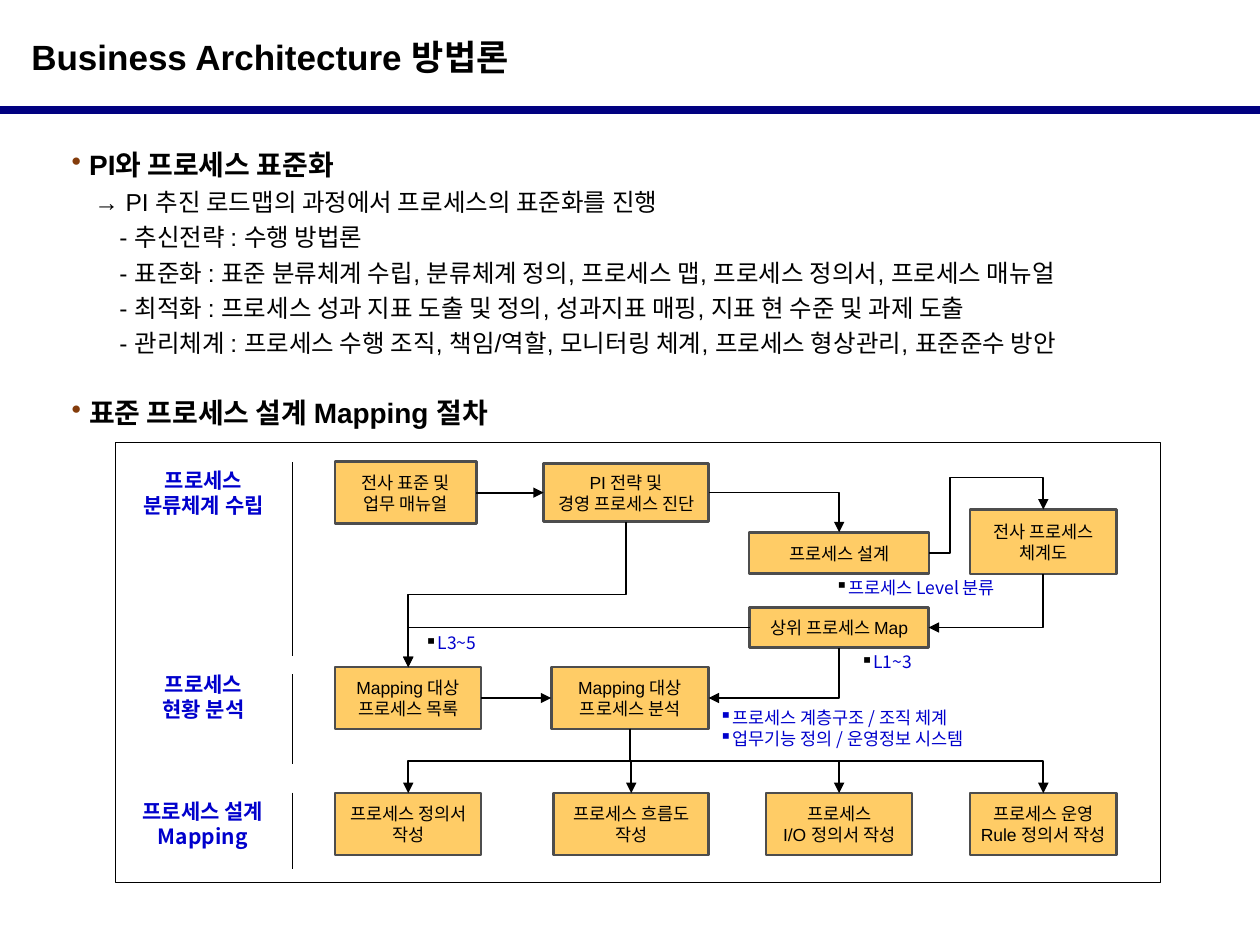
from dataclasses import dataclass
from lxml.etree import SubElement
from pptx import Presentation
from pptx.dml.color import RGBColor
from pptx.enum.shapes import MSO_CONNECTOR as Route, MSO_SHAPE as Preset
from pptx.enum.text import MSO_ANCHOR as Anchor, MSO_AUTO_SIZE as Fit, PP_ALIGN as Align
from pptx.oxml.ns import qn
from pptx.util import Inches, Pt

BLACK, NAVY, BLUE, BROWN = "000000", "000080", "0000CC", "843C0B"
ORANGE, GRAY = "FFCC66", "4D4D4D"
KOREAN = "Noto Sans CJK KR"

# Diagram grid: centres of columns and rows, in inches
COLUMNS = (3.24, 5.0, 6.66, 8.28)
ROWS = (3.91, 4.39, 4.98, 5.54, 6.54)


@dataclass
class Line:
    text: str
    size: float = 14
    bold: bool = False
    font: str = "Arial"
    color: str = BLACK
    align: Align = Align.LEFT
    spacing: float = 1.0
    indent: float = 0
    bullet: str = ""
    bullet_color: str = ""


@dataclass
class Step:
    text: str
    column: int
    row: int
    width: float = 1.16
    height: float = 0.49
    shift_x: float = 0
    shift_y: float = 0

    def side(self, name: str) -> tuple[float, float]:
        x, y = COLUMNS[self.column] + self.shift_x, ROWS[self.row] + self.shift_y
        across, down = {"left": (-1, 0), "right": (1, 0), "top": (0, -1), "bottom": (0, 1)}[name]
        return x + across * self.width / 2, y + down * self.height / 2


@dataclass
class Link:
    start: str
    leave: str
    end: str
    enter: str
    segments: int
    bends: tuple = ()


def color_of(value: str) -> RGBColor:
    return RGBColor.from_string(value)


def write(frame, lines: list[Line]) -> None:
    for index, line in enumerate(lines):
        para = frame.paragraphs[0] if index == 0 else frame.add_paragraph()
        para.alignment, para.line_spacing = line.align, line.spacing
        props = para._p.get_or_add_pPr()
        if line.indent:
            props.set("marL", str(Inches(line.indent)))
        if line.bullet:
            props.set("indent", str(-Inches(line.indent)))
            if line.bullet_color:
                tint = SubElement(props, qn("a:buClr"))
                SubElement(tint, qn("a:srgbClr")).set("val", line.bullet_color)
            SubElement(props, qn("a:buChar")).set("char", line.bullet)
        span = para.add_run()
        span.text = line.text
        formats = {"name": line.font, "size": Pt(line.size), "bold": line.bold}
        for name, value in formats.items():
            setattr(span.font, name, value)
        span.font.color.rgb = color_of(line.color)
        SubElement(span._r.get_or_add_rPr(), qn("a:ea")).set("typeface", KOREAN)


def add_text(page, area: tuple, lines: list[Line], inset: bool = False) -> None:
    frame = page.shapes.add_textbox(*map(Inches, area)).text_frame
    formats = {"word_wrap": True, "auto_size": Fit.SHAPE_TO_FIT_TEXT}
    if not inset:
        formats |= {f"margin_{side}": 0 for side in ("left", "top", "right", "bottom")}
    for name, value in formats.items():
        setattr(frame, name, value)
    write(frame, lines)


def add_box(page, area: tuple, line: str, weight: float, fill: str = ""):
    box = page.shapes.add_shape(Preset.RECTANGLE, *map(Inches, area))
    box.shadow.inherit = False
    if fill:
        box.fill.solid()
        box.fill.fore_color.rgb = color_of(fill)
    else:
        box.fill.background()
    box.line.color.rgb, box.line.width = color_of(line), Pt(weight)
    return box


def add_step(page, step: Step) -> None:
    left, top = step.side("left")[0], step.side("top")[1]
    box = add_box(page, (left, top, step.width, step.height), GRAY, 1.5, ORANGE)
    box.text_frame.word_wrap = False
    box.text_frame.vertical_anchor = Anchor.MIDDLE
    write(box.text_frame, [Line(text, 10, align=Align.CENTER) for text in step.text.split("\n")])


def add_line(page, start: tuple, end: tuple, color: str, weight: float, route=Route.STRAIGHT):
    line = page.shapes.add_connector(route, *map(Inches, start + end))
    line.line.color.rgb, line.line.width = color_of(color), Pt(weight)
    SubElement(line._element.spPr, qn("a:effectLst"))
    return line


def add_link(page, link: Link) -> None:
    start, end = STEPS[link.start].side(link.leave), STEPS[link.end].side(link.enter)
    if link.segments == 1:
        arrow = add_line(page, start, (end[0], start[1]), BLACK, 1)
    else:
        # A turned elbow is laid out around its centre with its sides swapped
        wide, high = abs(end[0] - start[0]), abs(end[1] - start[1])
        if link.leave == "bottom":
            wide, high = high, wide
            turn, flip = (90, "") if end[0] < start[0] else (270, "flipH")
        elif link.leave == "left":
            turn, flip = 180, "flipV"
        else:
            turn, flip = 0, "flipV" if end[1] < start[1] else ""
        left, top = (start[0] + end[0] - wide) / 2, (start[1] + end[1] - high) / 2
        arrow = add_line(page, (left, top), (left + wide, top + high), BLACK, 1, Route.ELBOW)
        frame = arrow._element.spPr.find(qn("a:xfrm"))
        frame.set("rot", str(turn * 60000))
        if flip:
            frame.set(flip, "1")
        shape = arrow._element.spPr.find(qn("a:prstGeom"))
        shape.set("prst", f"bentConnector{link.segments}")
        for number, share in enumerate(link.bends, 1):
            guide = SubElement(shape.find(qn("a:avLst")), qn("a:gd"))
            guide.set("name", f"adj{number}")
            guide.set("fmla", f"val {round(share * 100000)}")
    SubElement(arrow.line._get_or_add_ln(), qn("a:tailEnd")).set("type", "triangle")


STEPS = {
    "manual": Step("전사 표준 및\n업무 매뉴얼", 0, 0, 1.12, shift_x=-0.02),
    "strategy": Step("PI 전략 및\n경영 프로세스 진단", 1, 0, 1.31, 0.46, -0.03),
    "design": Step("프로세스 설계", 2, 1, 1.43, 0.33),
    "system": Step("전사 프로세스\n체계도", 3, 1, height=0.51, shift_y=-0.09),
    "map": Step("상위 프로세스 Map", 2, 2, 1.42, 0.32),
    "list": Step("Mapping 대상\n프로세스 목록", 0, 3),
    "analysis": Step("Mapping 대상\n프로세스 분석", 1, 3, 1.25),
    "definition": Step("프로세스 정의서\n작성", 0, 4),
    "flow": Step("프로세스 흐름도\n작성", 1, 4, 1.23, shift_x=0.01),
    "io": Step("프로세스\nI/O 정의서 작성", 2, 4),
    "rule": Step("프로세스 운영\nRule 정의서 작성", 3, 4),
}
LINKS = [
    Link("manual", "right", "strategy", "left", 1),
    Link("list", "right", "analysis", "left", 1),
    Link("strategy", "right", "design", "top", 2),
    Link("system", "bottom", "map", "right", 2),
    Link("map", "bottom", "analysis", "right", 2),
    Link("map", "left", "list", "top", 2),
    Link("strategy", "bottom", "list", "top", 3, (0.5,)),
    Link("design", "right", "system", "top", 4, (0.18, 1.74)),
] + [Link("analysis", "bottom", name, "top", 3, (0.5,))
     for name in ("definition", "flow", "io", "rule")]

# Stage name, its left, top and width, then the ends of its divider
STAGES = [
    ("프로세스\n분류체계 수립", (1.05, 3.71, 1.13, 0.4), 3.67, 5.21),
    ("프로세스\n현황 분석", (1.05, 5.33, 1.13, 0.4), 5.35, 6.06),
    ("프로세스 설계\nMapping", (1.01, 6.34, 1.2, 0.4), 6.29, 6.9),
]
NOTES = [
    ("프로세스 Level 분류", (6.63, 4.58, 1.49, 0.17), BLACK),
    ("L1~3", (6.83, 5.17, 0.6, 0.17), BLACK),
    ("L3~5", (3.37, 5.02, 0.6, 0.17), BLACK),
    ("프로세스 계층구조 / 조직 체계\n업무기능 정의 / 운영정보 시스템", (5.71, 5.61, 3.12, 0.34), ""),
]
DETAILS = [
    "- 추신전략 : 수행 방법론",
    "- 표준화 : 표준 분류체계 수립, 분류체계 정의, 프로세스 맵, 프로세스 정의서, 프로세스 매뉴얼",
    "- 최적화 : 프로세스 성과 지표 도출 및 정의, 성과지표 매핑, 지표 현 수준 및 과제 도출",
    "- 관리체계 : 프로세스 수행 조직, 책임/역할, 모니터링 체계, 프로세스 형상관리, 표준준수 방안",
]


def main() -> None:
    deck = Presentation()
    deck.slide_width, deck.slide_height = Inches(10), Inches(7.5)
    page = deck.slides.add_slide(deck.slide_layouts[6])

    # Title and rule
    add_text(page, (0, 0.23, 10, 0.44),
             [Line("Business Architecture 방법론", 20, True, indent=0.15)], inset=True)
    add_line(page, (0, 0.87), (10, 0.87), NAVY, 4.5)

    # Headings and details
    body = {"align": Align.JUSTIFY, "spacing": 1.2}
    heading = body | {"size": 16, "bold": True, "indent": 0.14,
                      "bullet": "•", "bullet_color": BROWN}
    add_text(page, (0.47, 1.07, 9.06, 1.84), [
        Line("PI와 프로세스 표준화", **heading),
        Line("→ PI 추진 로드맵의 과정에서 프로세스의 표준화를 진행", indent=0.18, **body),
        *[Line(text, indent=0.38, **body) for text in DETAILS],
    ], inset=True)
    add_text(page, (0.47, 3.04, 9.06, 0.42),
             [Line("표준 프로세스 설계 Mapping 절차", **heading)], inset=True)

    # Diagram
    add_box(page, (0.92, 3.51, 8.29, 3.49), BLACK, 0.5)
    for text, area, top, bottom in STAGES:
        add_text(page, area, [Line(part, 12, True, KOREAN, BLUE, Align.CENTER)
                              for part in text.split("\n")])
        add_line(page, (2.32, top), (2.32, bottom), BLACK, 0.75)
    for step in STEPS.values():
        add_step(page, step)
    for link in LINKS:
        add_link(page, link)
    for text, area, mark in NOTES:
        add_text(page, area, [Line(part, 10, False, KOREAN, BLUE, indent=0.1 if mark else 0.08,
                                   bullet="▪", bullet_color=mark) for part in text.split("\n")])

    deck.save("out.pptx")


if __name__ == "__main__":
    main()
